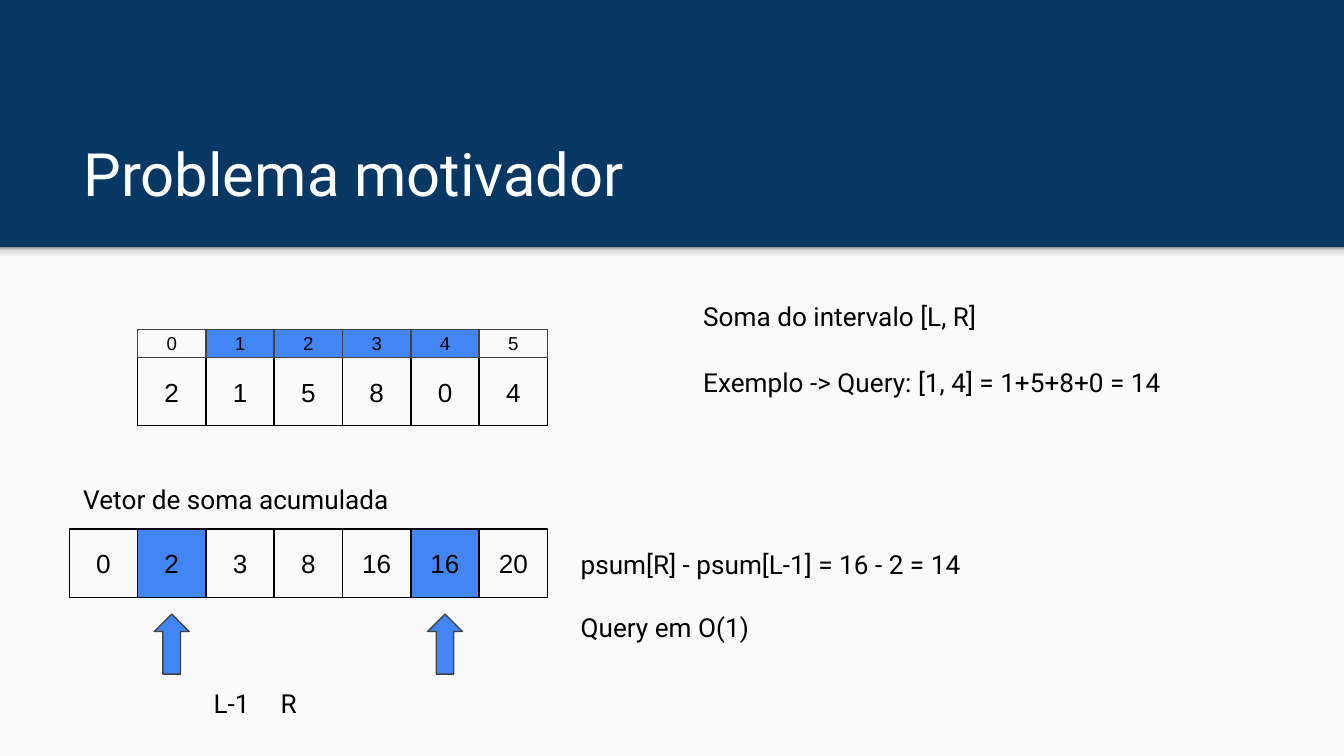
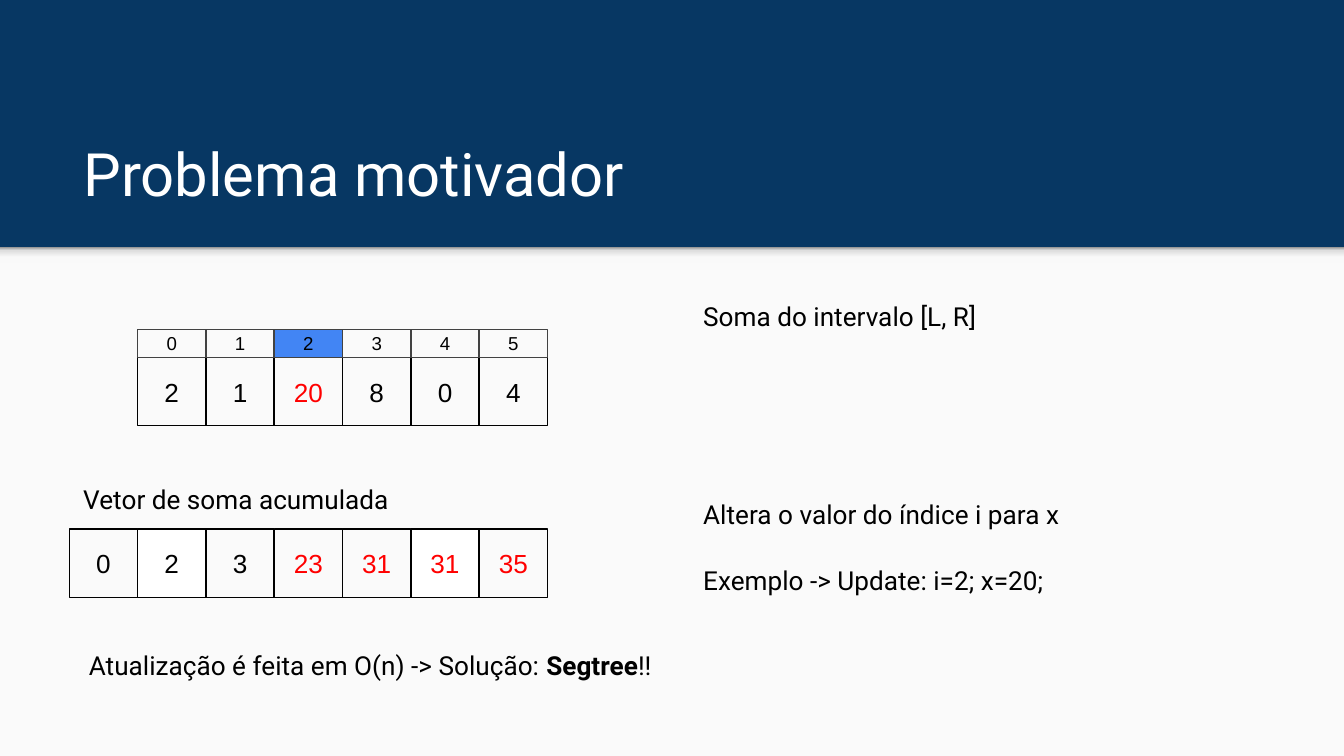
from copy import deepcopy
from dataclasses import dataclass

from lxml.etree import SubElement
from pptx import Presentation
from pptx.dml.color import RGBColor
from pptx.enum.shapes import MSO_SHAPE
from pptx.enum.text import MSO_ANCHOR, MSO_AUTO_SIZE, PP_ALIGN
from pptx.oxml.ns import qn
from pptx.util import Pt


@dataclass(frozen=True)
class Theme:
    navy: str = "073763"
    panel: str = "FAFAFA"
    blue: str = "4285F4"
    white: str = "FFFFFF"
    black: str = "000000"
    gray: str = "424242"
    red: str = "FF0000"
    shade: tuple = ((0, "F9F9F9"), (0.36, "F9F9F9"), (0.8, "DEDEDE"), (1, "999999"))
    text_font: str = "Roboto"
    cell_font: str = "Arial"
    title_size: int = 32
    text_size: int = 14
    index_size: int = 10


T = Theme()
rgb = RGBColor.from_string
LEFT, CELL = 37.1, 36.6
BAND, WIDTH, HEIGHT = 132.5, 720, 405
INDEX_TOP, ARRAY_TOP, PSUM_TOP = 176.4, 191.5, 283.5


def write(tf, paras, size=T.text_size, font=T.text_font, color=T.black,
          align=PP_ALIGN.LEFT, anchor=MSO_ANCHOR.TOP, fit=MSO_AUTO_SIZE.NONE, spacing=None):
    tf.word_wrap = True
    tf.auto_size = fit
    tf.vertical_anchor = anchor
    tf.margin_left = tf.margin_right = tf.margin_top = tf.margin_bottom = Pt(7.2)
    for i, (gap, runs) in enumerate(paras):
        p = tf.paragraphs[0] if i == 0 else tf.add_paragraph()
        pPr = p._p.get_or_add_pPr()
        pPr.set("marL", "0")
        pPr.set("indent", "0")
        SubElement(pPr, qn("a:buNone"))
        p.alignment = align
        p.space_before = Pt(gap)
        p.line_spacing = spacing
        for text, bold in runs:
            r = p.add_run()
            r.text = text
            r.font.name = font
            r.font.size = Pt(size)
            r.font.bold = bold
            r.font.color.rgb = rgb(color)


def add_row(s, top, height, first, values, fills, reds=(), line=T.black, size=T.text_size):
    for i, value in enumerate(values):
        sp = s.shapes.add_shape(MSO_SHAPE.RECTANGLE, Pt(LEFT + (first + i) * CELL), Pt(top),
                                Pt(CELL), Pt(height))
        sp.shadow.inherit = False
        if i in fills:
            sp.fill.solid()
            sp.fill.fore_color.rgb = rgb(fills[i])
        else:
            sp.fill.background()
        sp.line.color.rgb = rgb(line)
        sp.line.width = Pt(0.75)
        write(sp.text_frame, [(0, [(str(value), False)])], size, T.cell_font,
              T.red if i in reds else T.black, PP_ALIGN.CENTER, MSO_ANCHOR.MIDDLE)


prs = Presentation()
prs.slide_width, prs.slide_height = Pt(WIDTH), Pt(HEIGHT)
layout = prs.slide_layouts[1]
background = prs.slide_master.background.fill
background.solid()
background.fore_color.rgb = rgb(T.navy)

pages = [
    dict(
        body=[(0, "Soma do intervalo [L, R]"),
              (16, "Exemplo -> Query: [1, 4] = 1+5+8+0 = 14")],
        index_fills={i: T.blue for i in range(1, 5)},
        array=[2, 1, 5, 8, 0, 4], array_reds=(),
        psum=[0, 2, 3, 8, 16, 16, 20], psum_fills={1: T.blue, 5: T.blue}, psum_reds=(),
        notes=[(304, 286.5, 219, 65.5, [(0, [("psum[R] - psum[L-1] = 16 - 2 = 14", False)]),
                                        (17, [("Query em O(1)", False)])])],
    ),
    dict(
        body=[(0, "Soma do intervalo [L, R]"),
              (86.7, "Altera o valor do índice i para x"),
              (16, "Exemplo -> Update: i=2; x=20;")],
        index_fills={2: T.blue},
        array=[2, 1, 20, 8, 0, 4], array_reds=(2,),
        psum=[0, 2, 3, 23, 31, 31, 35], psum_fills={1: T.white, 5: T.white},
        psum_reds=range(3, 7),
        notes=[(40.5, 340.5, 389, 31.5,
                [(0, [("Atualização é feita em O(n) -> Solução: ", False),
                      ("Segtree", True), ("!!", False)])])],
    ),
]
slides = [prs.slides.add_slide(layout) for _ in pages]

panel = slides[0].shapes.add_shape(MSO_SHAPE.RECTANGLE, 0, Pt(BAND), Pt(WIDTH), Pt(HEIGHT - BAND))
panel.fill.solid()
panel.fill.fore_color.rgb = rgb(T.panel)
shade = slides[0].shapes.add_shape(MSO_SHAPE.RECTANGLE, 0, Pt(BAND), Pt(WIDTH), Pt(8.6))
shade.fill.gradient()
shade.fill.gradient_angle = 90
stops = shade.element.find(".//" + qn("a:gsLst"))
for _ in range(len(T.shade) - len(stops)):
    stops.append(deepcopy(stops[0]))
for stop, (position, color) in zip(shade.fill.gradient_stops, T.shade):
    stop.position = position
    stop.color.rgb = rgb(color)
for i, sp in enumerate((panel, shade)):
    sp.shadow.inherit = False
    sp.line.fill.background()
    layout.shapes.element.insert(2 + i, sp.element)

for s, page in zip(slides, pages):
    title, body = s.placeholders[0], s.placeholders[1]
    title.left, title.top, title.width, title.height = Pt(37.5), Pt(58.3), Pt(647), Pt(60.5)
    write(title.text_frame, [(0, [("Problema motivador", False)])], T.title_size,
          color=T.white, anchor=MSO_ANCHOR.BOTTOM)
    body.left, body.top, body.width, body.height = Pt(369.5), Pt(151.2), Pt(314.6), Pt(213)
    write(body.text_frame, [(gap, [(text, False)]) for gap, text in page["body"]], spacing=1.15)

    add_row(s, ARRAY_TOP, CELL, 1, page["array"], {}, page["array_reds"])
    add_row(s, PSUM_TOP, CELL, 0, page["psum"], page["psum_fills"], page["psum_reds"])
    add_row(s, INDEX_TOP, ARRAY_TOP - INDEX_TOP, 1, range(6), page["index_fills"],
            line=T.gray, size=T.index_size)

    heading = (37.5, 252, 195, 31.5, [(0, [("Vetor de soma acumulada", False)])])
    for left, top, width, height, paras in [heading] + page["notes"]:
        tb = s.shapes.add_textbox(Pt(left), Pt(top), Pt(width), Pt(height))
        write(tb.text_frame, paras, fit=MSO_AUTO_SIZE.SHAPE_TO_FIT_TEXT)

s = slides[0]
for column in (1, 5):
    arrow = s.shapes.add_shape(MSO_SHAPE.UP_ARROW, Pt(LEFT + (column + 0.5) * CELL - 9.4),
                               Pt(329), Pt(18.8), Pt(32.2))
    arrow.shadow.inherit = False
    arrow.fill.solid()
    arrow.fill.fore_color.rgb = rgb(T.blue)
    arrow.line.color.rgb = rgb(T.gray)
    arrow.line.width = Pt(0.75)

tb = s.shapes.add_textbox(Pt(71.3), Pt(361), Pt(188.6), Pt(31.5))
write(tb.text_frame, [(0, [("\tL-1\tR", False)])], fit=MSO_AUTO_SIZE.SHAPE_TO_FIT_TEXT)
tabs = SubElement(tb.text_frame.paragraphs[0]._p.get_or_add_pPr(), qn("a:tabLst"))
for position in (12.6, 158.6):
    SubElement(tabs, qn("a:tab"), pos=str(Pt(position)), algn="ctr")

prs.save("out.pptx")
